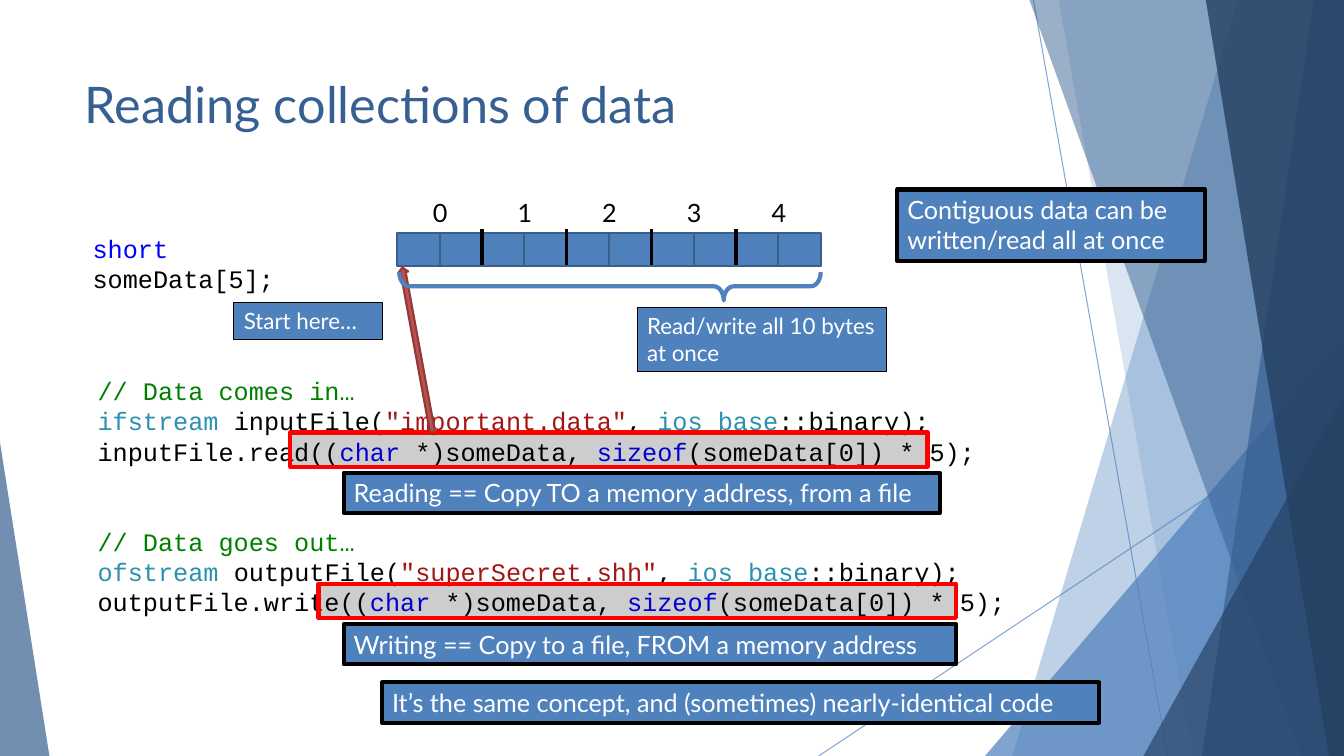
from dataclasses import dataclass
from typing import Any, NamedTuple, Optional

from lxml import etree
from pptx import Presentation, util as u
from pptx.dml.color import RGBColor
from pptx.enum import shapes, text
from pptx.oxml.ns import qn

HEX = {
    "blue": "4F81BD", "deep": "376092", "navy": "254061", "edge": "3A5F8C",
    "black": "000000", "white": "FFFFFF", "shade": "080808", "frame": "FF0000",
    "arrow": "C0504D", "arrow_edge": "8E3B39",
    "comment": "008000", "type": "2B91AF", "string": "A31515", "keyword": "0000FF",
}
PRESET = shapes.MSO_SHAPE
LEFT, CENTER = text.PP_ALIGN.LEFT, text.PP_ALIGN.CENTER
FRAME_FORMAT = {"word_wrap": True, "vertical_anchor": text.MSO_ANCHOR.TOP}


class Run(NamedTuple):
    words: str
    color: str = "black"


class Box(NamedTuple):
    left: float
    top: float
    width: float
    height: float

    def lengths(self) -> list:
        return [u.Inches(value) for value in self]


class Facet(NamedTuple):
    points: tuple
    color: str
    opacity: int


@dataclass
class Block:
    box: Box
    fill: Optional[str] = "blue"
    line: Optional[str] = "black"
    weight: float = 3
    preset: Any = PRESET.RECTANGLE
    opacity: int = 100
    rotation: float = 0
    adjust: tuple = ()
    words: str = ""
    size: float = 18


def rgb(color: str) -> RGBColor:
    return RGBColor.from_string(HEX[color])


def set_all(target: Any, values: dict) -> None:
    for name, value in values.items():
        setattr(target, name, value)


def set_opacity(element: Any, opacity: int) -> None:
    if opacity < 100:
        tint = next(element.iter(qn("a:srgbClr")))
        etree.SubElement(tint, qn("a:alpha")).set("val", str(opacity * 1000))


def paint(shape: Any, fill: Optional[str], opacity: int = 100,
          line: Optional[str] = None, weight: float = 0) -> None:
    shape.shadow.inherit = False
    if fill:
        shape.fill.solid()
        shape.fill.fore_color.rgb = rgb(fill)
        set_opacity(shape.element, opacity)
    else:
        shape.fill.background()
    if line:
        shape.line.color.rgb = rgb(line)
        shape.line.width = u.Pt(weight)
    else:
        shape.line.fill.background()


def write(frame: Any, lines: list, font: str, size: float, align: Any = LEFT,
          formats: Optional[dict] = None) -> None:
    set_all(frame, FRAME_FORMAT)
    for index, runs in enumerate(lines):
        paragraph = frame.add_paragraph() if index else frame.paragraphs[0]
        set_all(paragraph, {"alignment": align, **(formats or {})})
        for words, color in runs:
            run = paragraph.add_run()
            run.text = words
            set_all(run.font, {"name": font, "size": u.Pt(size)})
            run.font.color.rgb = rgb(color)


def draw_block(block: Block) -> None:
    shape = slide.shapes.add_shape(block.preset, *block.box.lengths())
    shape.rotation = block.rotation
    for index, value in enumerate(block.adjust):
        shape.adjustments[index] = value
    paint(shape, block.fill, block.opacity, block.line, block.weight)
    if block.words:
        write(shape.text_frame, [[Run(block.words, "white")]], "Lato", block.size)


def draw_facet(facet: Facet) -> None:
    start, *rest = [(u.Inches(x), u.Inches(y)) for x, y in facet.points]
    outline = slide.shapes.build_freeform(*start)
    outline.add_line_segments(rest)
    paint(outline.convert_to_shape(), facet.color, facet.opacity)


def draw_line(start: tuple, end: tuple, color: str, weight: float, opacity: int = 100) -> None:
    ends = [u.Inches(value) for value in (*start, *end)]
    line = slide.shapes.add_connector(shapes.MSO_CONNECTOR.STRAIGHT, *ends)
    line.line.color.rgb = rgb(color)
    line.line.width = u.Pt(weight)
    set_opacity(line.element, opacity)
    etree.SubElement(line.element.spPr, qn("a:effectLst"))


def add_words(box: Box, lines: list, font: str, align: Any = LEFT,
              formats: Optional[dict] = None) -> Any:
    frame = slide.shapes.add_textbox(*box.lengths()).text_frame
    write(frame, lines, font, 18, align, formats)
    return frame


def stream_code(direction: str, stream: str, variable: str, file_name: str, call: str) -> list:
    return [
        [Run(f"// Data {direction}…", "comment")],
        [Run(f"{stream} ", "type"), Run(f"{variable}("), Run(f'"{file_name}"', "string"),
         Run(", "), Run("ios_base", "type"), Run("::binary);")],
        [Run(f"{variable}.{call}(("), Run("char ", "keyword"), Run("*)someData, "),
         Run("sizeof", "keyword"), Run("(someData[0]) * 5);")],
    ]


deck = Presentation()
set_all(deck, {"slide_width": u.Inches(13.33), "slide_height": u.Inches(7.5)})
slide = deck.slides.add_slide(deck.slide_layouts[5])

title = slide.shapes.title
set_all(title, dict(zip(("left", "top", "width", "height"), Box(0.74, 0.67, 9.4, 0.72).lengths())))
write(title.text_frame, [[Run("Reading collections of data", "deep")]], "Lato", 36)
title.text_frame.vertical_anchor = text.MSO_ANCHOR.MIDDLE

RIGHT, BOTTOM = 13.33, 7.5
draw_line((10.25, 0), (11.58, BOTTOM), "blue", 0.75, 70)
draw_line((RIGHT, 4.03), (8.12, BOTTOM), "blue", 0.75, 70)


def band(top_x: float, bottom_x: float) -> tuple:
    return (top_x, 0), (RIGHT, 0), (RIGHT, BOTTOM), (bottom_x, BOTTOM)


def corner(left: float, top: float) -> tuple:
    return (RIGHT, top), (RIGHT, BOTTOM), (left, BOTTOM)


for facet in (
    Facet(band(12.28, 10.04), "blue", 36),
    Facet(band(10.5, 11.83), "blue", 20),
    Facet(corner(9.77, 3.33), "blue", 72),
    Facet(band(10.21, 12.91), "deep", 50),
    Facet(band(13.03, 11.92), "deep", 70),
    Facet(band(11.96, 13.18), "navy", 80),
    Facet(corner(11.34, 3.93), "navy", 66),
    Facet(((0, 4.39), (0.49, BOTTOM), (0, BOTTOM)), "deep", 70),
):
    draw_facet(facet)

ITEMS, BYTE, ARRAY_LEFT, ARRAY_TOP = 5, 0.42, 3.94, 2.31
for byte in range(2 * ITEMS):
    draw_block(Block(Box(ARRAY_LEFT + byte * BYTE, ARRAY_TOP, BYTE, 0.33), line="edge", weight=1.5))
for item in range(ITEMS):
    item_left = ARRAY_LEFT + item * 2 * BYTE
    if item:
        draw_line((item_left, 2.27), (item_left, 2.63), "black", 2.25)
    add_words(Box(item_left + 0.17, 1.91, 0.51, 0.4), [[Run(str(item))]], "Lato", CENTER)

code_format = {"line_spacing": u.Pt(21.5)}
code_in = stream_code("comes in", "ifstream", "inputFile", "important.data", "read")
code_out = stream_code("goes out", "ofstream", "outputFile", "superSecret.shh", "write")
code = add_words(Box(0.87, 3.68, 9.27, 2.5), code_in + code_out, "Courier New", LEFT, code_format)
code.paragraphs[len(code_in)].space_before = u.Pt(43)
add_words(Box(0.82, 2.27, 2.78, 0.4), [[Run("short ", "keyword"), Run("someData[5];")]],
          "Courier New", LEFT, code_format)

for block in (
    Block(Box(2.88, 4.29, 6.32, 0.34), "shade", "frame", opacity=20),
    Block(Box(3.16, 5.79, 6.32, 0.34), "shade", "frame", opacity=20),
    Block(Box(8.9, 1.88, 3.05, 0.71), words="Contiguous data can be written/read all at once"),
    Block(Box(4.09, 2.64, 0.1, 1.66), "arrow", "arrow_edge", 1.5, PRESET.UP_ARROW, rotation=349.6),
    Block(Box(2.32, 3, 1.47, 0.37), weight=0.75, words="Start here…", size=16),
    Block(Box(5.91, 0.75, 0.28, 4.18), None, "blue", 3, PRESET.LEFT_BRACE,
          rotation=270, adjust=(0.35, 0.77)),
    Block(Box(6.32, 3.05, 2.47, 0.64), weight=0.75, words="Read/write all 10 bytes at once", size=16),
    Block(Box(3.41, 4.69, 5.91, 0.4), words="Reading == Copy TO a memory address, from a file"),
    Block(Box(3.41, 6.19, 6.07, 0.4), words="Writing == Copy to a file, FROM a memory address"),
    Block(Box(3.79, 6.77, 7.11, 0.4),
          words="It’s the same concept, and (sometimes) nearly-identical code"),
):
    draw_block(block)

deck.save("out.pptx")
